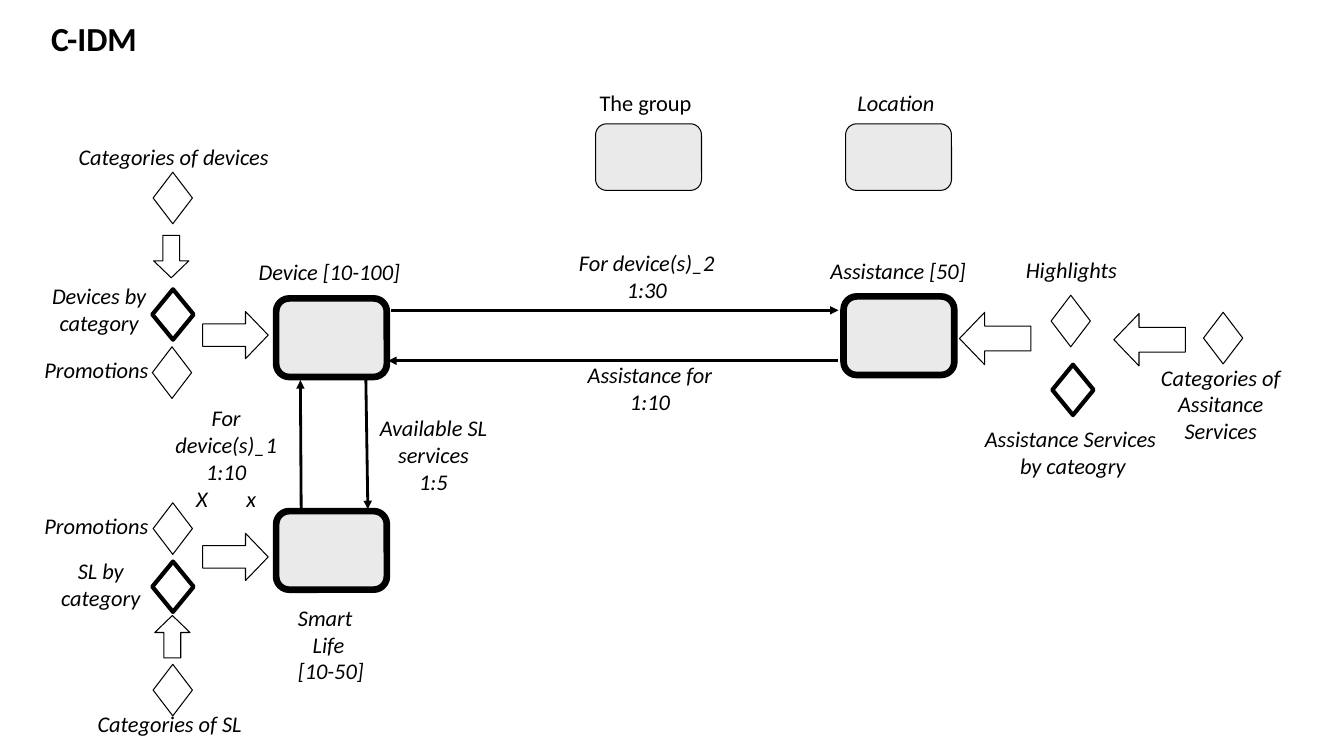
import pptx
import pptx.util
import pptx.dml.color
import pptx.enum.shapes
import pptx.enum.text
import lxml.etree
import pptx.oxml.ns

Cm = pptx.util.Cm
Pt = pptx.util.Pt
ALIGN = pptx.enum.text.PP_ALIGN
SHAPE = pptx.enum.shapes.MSO_SHAPE
BLACK = pptx.dml.color.RGBColor(0x00, 0x00, 0x00)
WHITE = pptx.dml.color.RGBColor(0xFF, 0xFF, 0xFF)
GRAY = pptx.dml.color.RGBColor(0xEA, 0xEA, 0xEA)
FONT = "Calibri"

HEADINGS = [
    ("C-IDM", (1.04, 0.33, 3.1, 1.27), dict(size=24, bold=True, italic=False, wrap=True)),
    ("The group", (14.86, 2.13, 2.87, 0.94), dict(italic=False)),
    ("Location", (21.36, 2.13, 2.49, 0.94), {}),
    ("Device [10-100]", (6.27, 6.38, 4.11, 0.94), {}),
    ("Assistance [50]", (20.68, 6.35, 3.96, 0.94), {}),
    ("Smart\nLife\n[10-50]", (7.26, 15.09, 2.18, 2.31), dict(indents={1: 0.37})),
    ("Categories of devices", (1.73, 3.48, 5.36, 0.94), {}),
]
CENTERED_LABELS = [
    ("Devices by\ncategory", (1.04, 6.99, 2.92, 1.63)),
    ("Promotions", (0.84, 8.84, 3.18, 0.94)),
    ("Promotions", (0.84, 12.78, 3.18, 0.94)),
    ("SL by\ncategory", (1.27, 13.92, 2.54, 1.63)),
    ("Categories of SL", (2.18, 17.78, 4.19, 0.94)),
    ("Highlights", (25.58, 6.32, 2.84, 0.94)),
    ("Assistance Services \nby cateogry", (24.54, 10.59, 5, 1.63)),
]
WRAPPED_LABELS = [
    ("For device(s)_1\n1:10\nX\tx", (3.86, 10.06, 3.68, 3)),
    ("For device(s)_2\n1:30", (13.94, 6.15, 4.72, 1.63)),
    ("Assistance for\n1:10", (14.02, 8.97, 4.72, 1.63)),
    ("Available SL services\n1:5", (9.07, 10.31, 3.71, 2.31)),
    ("Categories of\nAssitance Services", (28.58, 9.04, 4.37, 2.31)),
]

SHAPE_GROUPS = [
    dict(kind=SHAPE.ROUNDED_RECTANGLE, size=(2.67, 1.68), fill=GRAY, line=0.75,
         places=[(15.01, 3.12), (21.31, 3.12)]),
    dict(kind=SHAPE.ROUNDED_RECTANGLE, size=(2.79, 1.98), fill=GRAY, line=4.75,
         places=[(6.96, 7.52), (6.96, 12.88), (21.26, 7.47)]),
    dict(kind=SHAPE.DIAMOND, size=(0.99, 1.3), fill=WHITE, line=0.75,
         places=[(3.86, 4.34), (3.84, 8.74), (3.86, 12.67), (3.86, 16.74),
                 (26.49, 7.44), (30.33, 7.87)]),
    dict(kind=SHAPE.DIAMOND, size=(1.04, 1.27), fill=WHITE, line=3,
         places=[(3.84, 7.29), (3.84, 14.15), (26.52, 9.19)]),
    dict(kind=SHAPE.RIGHT_ARROW, size=(1.65, 1.19), line=0.75,
         places=[(5.11, 7.85), (5.11, 13.44)]),
    dict(kind=SHAPE.RIGHT_ARROW, size=(1.8, 1.32), line=0.75, rotation=180,
         places=[(24.18, 7.87), (28.07, 7.9)]),
    dict(kind=SHAPE.RIGHT_ARROW, size=(1.07, 0.89), line=0.75, rotation=90,
         places=[(3.78, 6.02)]),
    dict(kind=SHAPE.RIGHT_ARROW, size=(1.07, 0.89), line=0.75, rotation=270,
         places=[(3.81, 15.6)]),
]
RELATIONS = [
    (7.59, 12.83, 7.57, 9.58),
    (9.22, 9.58, 9.27, 12.83),
    (9.86, 7.82, 21.13, 7.82),
    (21.13, 9.09, 9.78, 9.09),
]

presentation = pptx.Presentation()
presentation.slide_width = Cm(33.87)
presentation.slide_height = Cm(19.05)
slide = presentation.slides.add_slide(presentation.slide_layouts[6])


def add_text(text, place, size=16, bold=False, italic=True, wrap=False,
             align=ALIGN.LEFT, indents=None):
    box = slide.shapes.add_textbox(*map(Cm, place))
    frame = box.text_frame
    frame.word_wrap = wrap
    frame.auto_size = pptx.enum.text.MSO_AUTO_SIZE.SHAPE_TO_FIT_TEXT
    for index, line in enumerate(text.split("\n")):
        paragraph = frame.paragraphs[0] if index == 0 else frame.add_paragraph()
        paragraph.alignment = align
        if indents and index in indents:
            paragraph._p.get_or_add_pPr().set("marL", str(Cm(indents[index])))
        run = paragraph.add_run()
        run.text = line
        run.font.name = FONT
        run.font.size = Pt(size)
        run.font.bold = bold
        run.font.italic = italic
        run.font.color.rgb = BLACK


def add_outlined(kind, place, size, line, fill=None, rotation=0):
    shape = slide.shapes.add_shape(kind, *map(Cm, place + size))
    shape.shadow.inherit = False
    shape.rotation = rotation
    if fill is None:
        shape.fill.background()
    else:
        shape.fill.solid()
        shape.fill.fore_color.rgb = fill
    shape.line.color.rgb = BLACK
    shape.line.width = Pt(line)
    if kind == SHAPE.RIGHT_ARROW:
        shape.adjustments[0] = 0.475
        shape.adjustments[1] = 0.48


def add_relation(ends):
    connector = slide.shapes.add_connector(
        pptx.enum.shapes.MSO_CONNECTOR.STRAIGHT, *map(Cm, ends))
    connector.line.color.rgb = BLACK
    connector.line.width = Pt(2)
    qualified = pptx.oxml.ns.qn
    lxml.etree.SubElement(connector.line._get_or_add_ln(), qualified("a:tailEnd"), type="triangle")
    lxml.etree.SubElement(connector._element.spPr, qualified("a:effectLst"))


for text, place, style in HEADINGS:
    add_text(text, place, **style)
for labels, wrap in ((CENTERED_LABELS, False), (WRAPPED_LABELS, True)):
    for text, place in labels:
        add_text(text, place, wrap=wrap, align=ALIGN.CENTER)
for group in SHAPE_GROUPS:
    style = {name: value for name, value in group.items() if name != "places"}
    for place in group["places"]:
        add_outlined(place=place, **style)
for ends in RELATIONS:
    add_relation(ends)

presentation.save("out.pptx")
